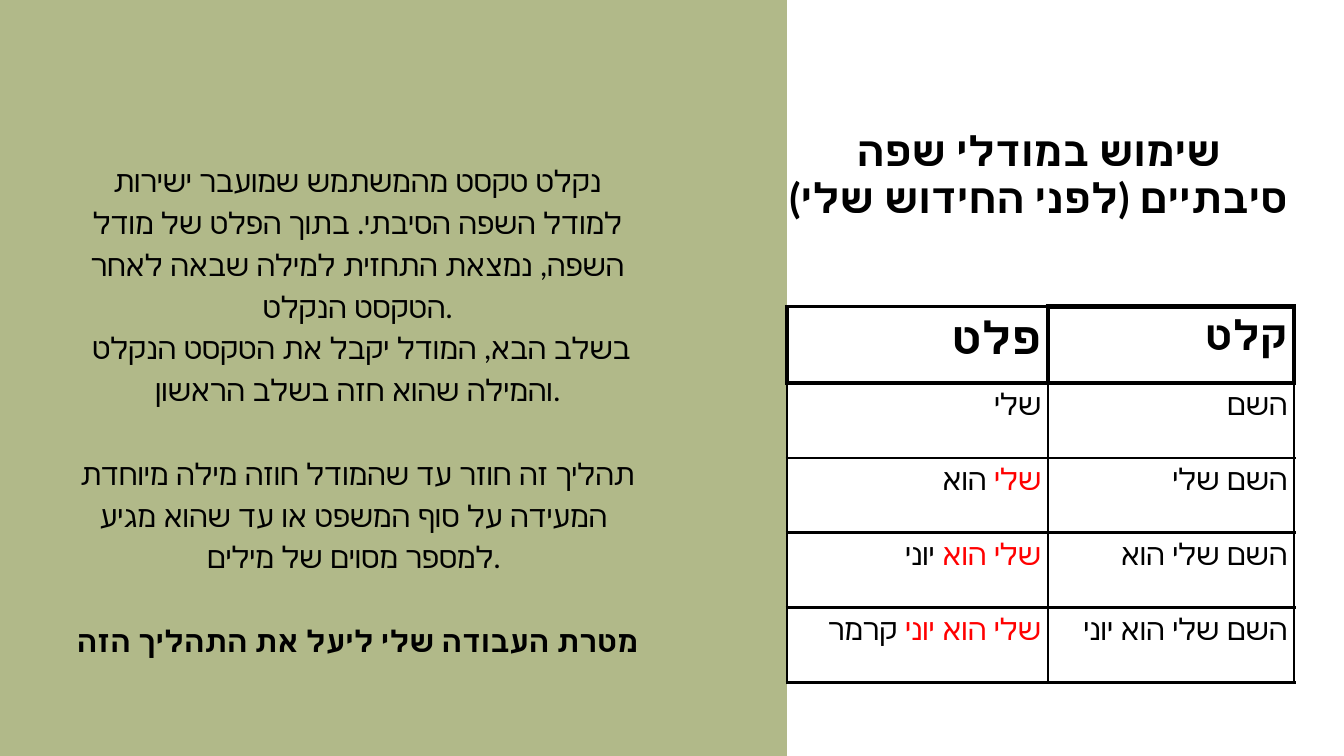
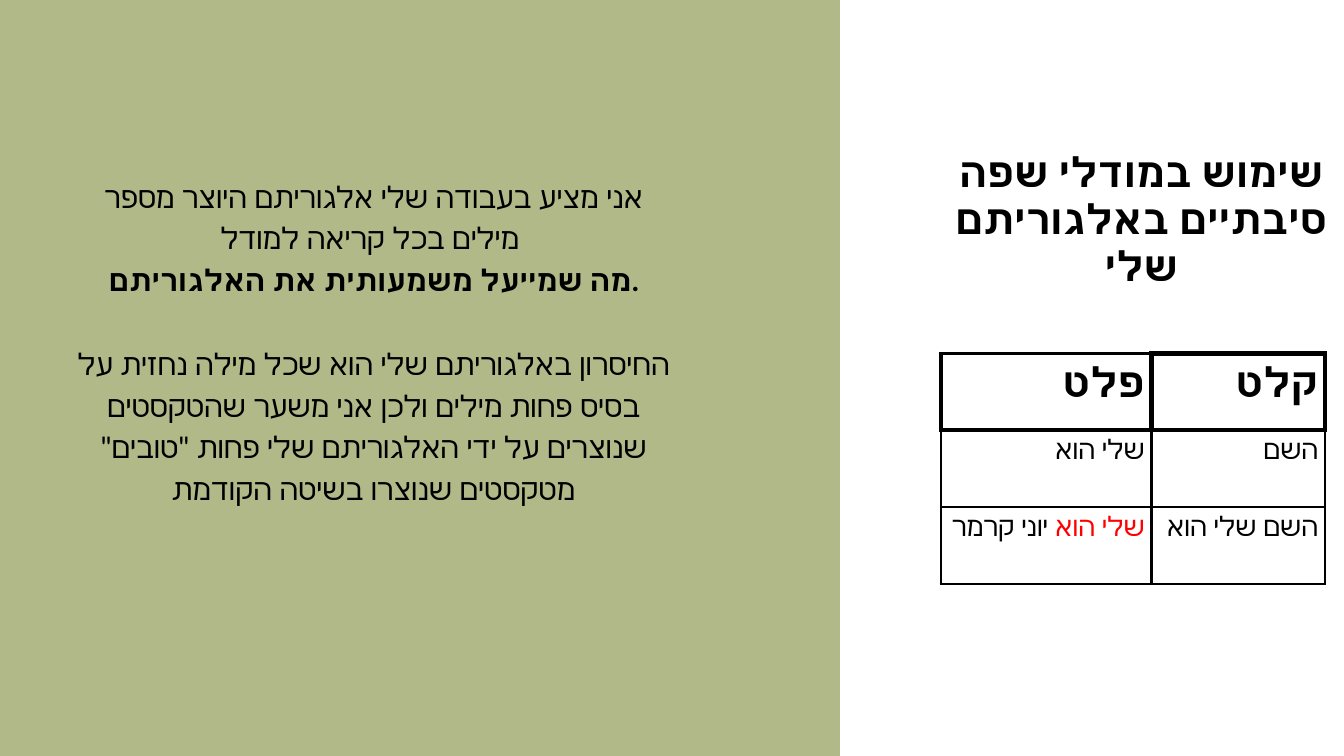
from dataclasses import dataclass
from typing import NamedTuple

from lxml.etree import SubElement
from pptx import Presentation
from pptx.dml.color import RGBColor as Rgb
from pptx.enum.shapes import MSO_SHAPE as Shape
from pptx.enum.text import MSO_ANCHOR as Anchor
from pptx.enum.text import MSO_AUTO_SIZE as Auto
from pptx.enum.text import PP_ALIGN as Align
from pptx.oxml.ns import qn
from pptx.util import Emu, Pt

PX = 9525
WIDE, HIGH = 1920, 1080
FONT = "Lato"
HUES = {"sage": "B1B989", "ink": "000000", "red": "FF0000", "paper": "FFFFFF"}
THIN, MID, THICK = 4, 6, 7
SIDES = ("lnL", "lnR", "lnT", "lnB")
HEADS = ((MID, THICK, MID, MID), (THICK,) * 4)
HEAD_H, ROW_H = 109, 107
TITLE_PT, TITLE_STEP = 44, 50.6
BODY_PT, BODY_STEP = 32, 44.8


class Box(NamedTuple):
    x: int
    y: int
    w: int
    h: int


class Run(NamedTuple):
    text: str
    hue: str = "ink"


class Para(NamedTuple):
    runs: tuple[Run, ...]
    bold: bool = False
    gap: bool = False


@dataclass
class Grid:
    x: int
    y: int
    cols: tuple[int, int]
    row: int
    heads: tuple[int, int]
    size: int
    rows: list[tuple[str, str, str]]


@dataclass
class Page:
    band: Box
    title: str
    spot: Box
    body: list[Para]
    area: Box
    grid: Grid


def emu(px: int) -> Emu:
    return Emu(px * PX)


def place(box: Box) -> list[Emu]:
    return [emu(n) for n in box]


def line(text: str, bold: bool = False, gap: bool = False) -> Para:
    return Para((Run(text),), bold, gap)


def write(frame, paras: list[Para], *, size: float, align: Align, step: float = 0) -> None:
    for i, item in enumerate(paras):
        para = frame.paragraphs[0] if i == 0 else frame.add_paragraph()
        para.alignment = align
        if step:
            para.line_spacing = Pt(step)
            para.space_before = Pt(step if item.gap else 0)
        for part in item.runs:
            run = para.add_run()
            run.text = part.text
            font = run.font
            font.name, font.size, font.bold = FONT, Pt(size), item.bold
            font.color.rgb = Rgb.from_string(HUES[part.hue])
            SubElement(font._element, qn("a:cs"), typeface=FONT)


def prose(shape, box: Box, paras: list[Para], size: float, step: float) -> None:
    shape.left, shape.top, shape.width, shape.height = place(box)
    frame = shape.text_frame
    frame.margin_left = frame.margin_right = frame.margin_top = frame.margin_bottom = 0
    frame.word_wrap = True
    frame.vertical_anchor = Anchor.TOP
    frame.auto_size = Auto.SHAPE_TO_FIT_TEXT
    write(frame, paras, size=size, align=Align.CENTER, step=step)


def draw_band(slide, box: Box) -> None:
    band = slide.shapes.add_shape(Shape.RECTANGLE, *place(box))
    band.shadow.inherit = False
    band.fill.solid()
    band.fill.fore_color.rgb = Rgb.from_string(HUES["sage"])
    band.line.fill.background()


def edge(cell, widths: tuple[int, ...]) -> None:
    props = cell._tc.get_or_add_tcPr()
    for side, width in zip(SIDES, widths):
        rule = SubElement(props, qn(f"a:{side}"), w=str(width * PX))
        fill = SubElement(rule, qn("a:solidFill"))
        SubElement(fill, qn("a:srgbClr"), val=HUES["ink"])
    cell.fill.background()


def draw_grid(slide, grid: Grid) -> None:
    count = len(grid.rows) + 1
    box = Box(grid.x, grid.y, sum(grid.cols), HEAD_H + grid.row * (count - 1))
    table = slide.shapes.add_table(count, 2, *place(box)).table
    table.first_row = table.horz_banding = False
    for i, width in enumerate(grid.cols):
        table.columns[i].width = emu(width)
    for i in range(count):
        table.rows[i].height = emu(grid.row if i else HEAD_H)
    for i, text in enumerate(("פלט", "קלט")):
        cell = table.cell(0, i)
        write(cell.text_frame, [line(text, True)], size=grid.heads[i], align=Align.RIGHT)
        edge(cell, HEADS[i])
    for i, (old, new, given) in enumerate(grid.rows, 1):
        runs = (Run(old, "red"), Run(new)) if old else (Run(new),)
        for j, para in enumerate((Para(runs), line(given))):
            cell = table.cell(i, j)
            write(cell.text_frame, [para], size=grid.size, align=Align.RIGHT)
            top = HEADS[j][3] if i == 1 else THIN
            edge(cell, (THIN, THIN, top, THIN))


def draw_page(deck, page: Page) -> None:
    slide = deck.slides.add_slide(deck.slide_layouts[5])
    back = slide.background.fill
    back.solid()
    back.fore_color.rgb = Rgb.from_string(HUES["paper"])
    draw_band(slide, page.band)
    draw_grid(slide, page.grid)
    prose(slide.shapes.title, page.spot, [line(page.title, True)], TITLE_PT, TITLE_STEP)
    body = slide.shapes.add_textbox(*place(page.area))
    prose(body, page.area, page.body, BODY_PT, BODY_STEP)


PAGES = [
    Page(
        band=Box(0, -64, 1124, 1144),
        title="שימוש במודלי שפה סיבתיים (לפני החידוש שלי)",
        spot=Box(1124, 182, 720, 206),
        body=[
            line(
                "נקלט טקסט מהמשתמש שמועבר ישירות למודל השפה הסיבתי. "
                "בתוך הפלט של מודל השפה, נמצאת התחזית למילה שבאה לאחר הטקסט הנקלט."
            ),
            line(" בשלב הבא, המודל יקבל את הטקסט הנקלט והמילה שהוא חזה בשלב הראשון."),
            line(
                "תהליך זה חוזר עד שהמודל חוזה מילה מיוחדת המעידה על סוף המשפט "
                "או עד שהוא מגיע ",
                gap=True,
            ),
            line("למספר מסוים של מילים. "),
            line("מטרת העבודה שלי ליעל את התהליך הזה", bold=True, gap=True),
        ],
        area=Box(108, 224, 806, 725),
        grid=Grid(
            1124, 438, (373, 352), ROW_H, (48, 44), 32,
            [
                ("", "שלי", "השם"),
                ("שלי", " הוא", "השם שלי"),
                ("שלי הוא ", "יוני", "השם שלי הוא"),
                ("שלי הוא יוני ", "קרמר", "השם שלי הוא יוני"),
            ],
        ),
    ),
    Page(
        band=Box(0, -34, 1200, 1140),
        title="שימוש במודלי שפה סיבתיים באלגוריתם שלי",
        spot=Box(1322, 212, 617, 138),
        body=[
            line("אני מציע בעבודה שלי אלגוריתם היוצר מספר מילים בכל קריאה למודל "),
            line("מה שמייעל משמעותית את האלגוריתם.", bold=True),
            line(
                "החיסרון באלגוריתם שלי הוא שכל מילה נחזית על בסיס פחות מילים "
                "ולכן אני משער שהטקסטים שנוצרים על ידי האלגוריתם שלי "
                'פחות "טובים" מטקסטים שנוצרו בשיטה הקודמת',
                gap=True,
            ),
        ],
        area=Box(108, 246, 852, 483),
        grid=Grid(
            1344, 505, (301, 248), 110, (44, 44), 29,
            [
                ("", "שלי הוא", "השם"),
                ("שלי הוא ", "יוני קרמר", "השם שלי הוא"),
            ],
        ),
    ),
]


def main() -> None:
    deck = Presentation()
    deck.slide_width, deck.slide_height = emu(WIDE), emu(HIGH)
    for page in PAGES:
        draw_page(deck, page)
    deck.save("out.pptx")


if __name__ == "__main__":
    main()
